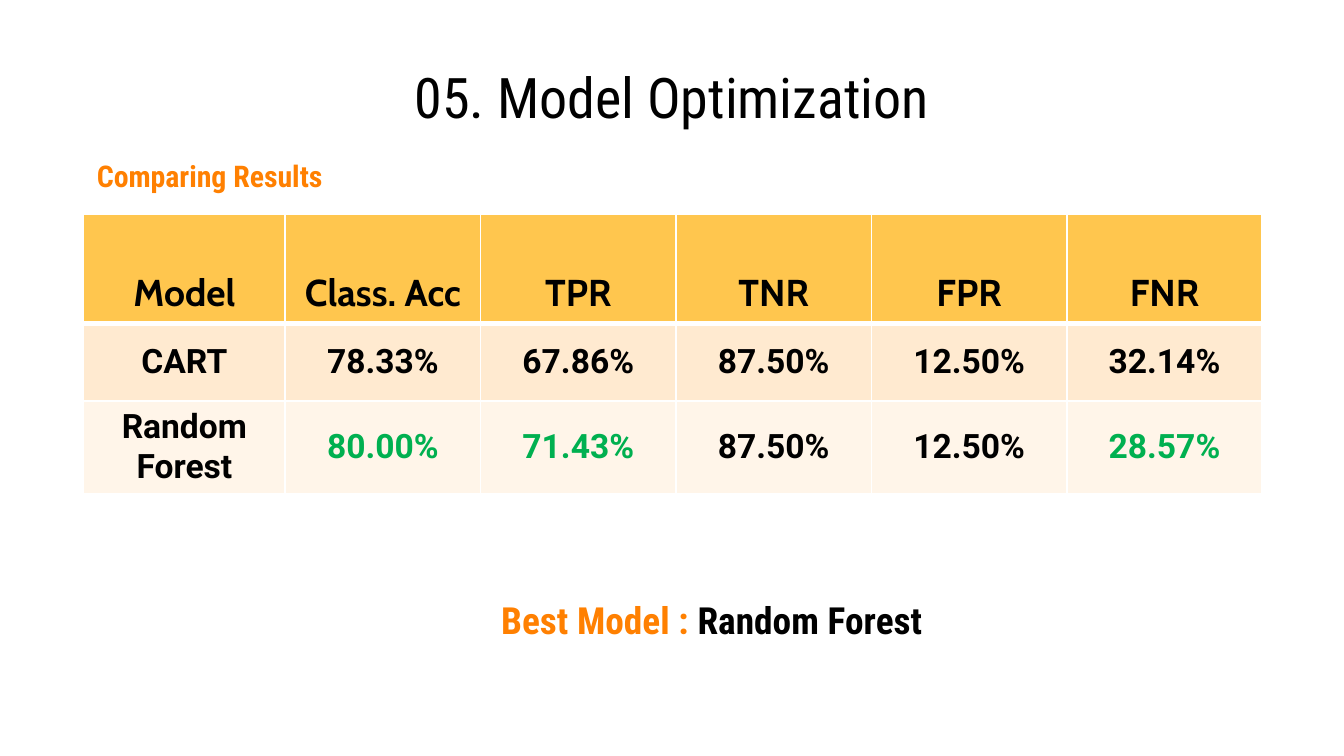
import dataclasses
import typing

import lxml.etree
import pptx
import pptx.dml.color
import pptx.enum.text
import pptx.oxml.ns
import pptx.util

Pt = pptx.util.Pt
Color = pptx.dml.color.RGBColor.from_string
Align = pptx.enum.text.PP_ALIGN
Anchor = pptx.enum.text.MSO_ANCHOR


@dataclasses.dataclass(frozen=True)
class Theme:
    black: str = "000000"
    white: str = "FFFFFF"
    orange: str = "FF8001"
    green: str = "00B050"
    header_fill: str = "FFC64E"
    row_fills: tuple[str, ...] = ("FFEAD0", "FFF5E9")
    heading_font: str = "Roboto Condensed"
    header_font: str = "Cabin"
    body_font: str = "Roboto"
    title_size: float = 30
    large_size: float = 20
    body_size: float = 18
    label_size: float = 16


class TextRun(typing.NamedTuple):
    text: str
    font: str
    size: float
    color: str
    bold: bool = True


class Box(typing.NamedTuple):
    left: float
    top: float
    width: float
    height: float


class ModelResult(typing.NamedTuple):
    model: str
    values: tuple[str, ...]
    improved: tuple[int, ...] = ()  # positions of the values shown in green


THEME = Theme()
HEADERS = ("Model", "Class. Acc", "TPR", "TNR", "FPR", "FNR")
RESULTS = (
    ModelResult("CART", ("78.33%", "67.86%", "87.50%", "12.50%", "32.14%")),
    ModelResult("Random Forest", ("80.00%", "71.43%", "87.50%", "12.50%", "28.57%"), (0, 1, 4)),
)
TABLE_BOX = Box(44.8, 114.8, 631.5, 149.5)
MODEL_WIDTH = 108
ROW_HEIGHTS = (58.3, 41.8, 44.6)
THIN_BORDER, HEADER_BORDER = 1, 3
INSET = Pt(7.2)


def set_attributes(target: typing.Any, values: dict[str, typing.Any]) -> None:
    for name, value in values.items():
        setattr(target, name, value)


def place(shape: typing.Any, box: Box) -> None:
    set_attributes(shape, {name: Pt(value) for name, value in box._asdict().items()})


def add_runs(paragraph: typing.Any, runs: typing.Iterable[TextRun]) -> None:
    for item in runs:
        run = paragraph.add_run()
        run.text = item.text
        set_attributes(run.font, {"name": item.font, "size": Pt(item.size), "bold": item.bold})
        run.font.color.rgb = Color(item.color)


def format_frame(frame: typing.Any, anchor: typing.Any) -> None:
    set_attributes(frame, {
        "word_wrap": True,
        "auto_size": pptx.enum.text.MSO_AUTO_SIZE.NONE,
        "vertical_anchor": anchor,
        "margin_left": INSET, "margin_right": INSET,
        "margin_top": INSET, "margin_bottom": INSET,
    })


def add_label(slide: typing.Any, box: Box, runs: typing.Iterable[TextRun]) -> None:
    shape = slide.shapes.add_textbox(*map(Pt, box))
    format_frame(shape.text_frame, Anchor.TOP)
    paragraph = shape.text_frame.paragraphs[0]
    set_attributes(paragraph, {"line_spacing": 1.15, "space_after": Pt(16)})
    add_runs(paragraph, runs)


def set_borders(cell: typing.Any, widths: dict[str, float]) -> None:
    properties = cell._tc.get_or_add_tcPr()
    qn = pptx.oxml.ns.qn
    for position, (side, width) in enumerate(widths.items()):
        line = lxml.etree.Element(qn(f"a:{side}"), w=str(Pt(width)))
        fill = lxml.etree.SubElement(line, qn("a:solidFill"))
        lxml.etree.SubElement(fill, qn("a:srgbClr"), val=THEME.white)
        properties.insert(position, line)


def fill_cell(cell: typing.Any, run: TextRun, fill: str, anchor: typing.Any, row: int) -> None:
    cell.fill.solid()
    cell.fill.fore_color.rgb = Color(fill)
    cell.vertical_anchor = anchor
    paragraph = cell.text_frame.paragraphs[0]
    paragraph.alignment = Align.CENTER
    add_runs(paragraph, [run])
    set_borders(cell, {
        "lnL": THIN_BORDER,
        "lnR": THIN_BORDER,
        "lnT": HEADER_BORDER if row == 1 else THIN_BORDER,
        "lnB": HEADER_BORDER if row == 0 else THIN_BORDER,
    })


def add_results_table(slide: typing.Any) -> None:
    shape = slide.shapes.add_table(len(RESULTS) + 1, len(HEADERS), *map(Pt, TABLE_BOX))
    table = shape.table
    value_width = (TABLE_BOX.width - MODEL_WIDTH) / (len(HEADERS) - 1)
    for index, column in enumerate(table.columns):
        column.width = Pt(value_width if index else MODEL_WIDTH)
    for row, height in zip(table.rows, ROW_HEIGHTS):
        row.height = Pt(height)

    # Header row
    for index, header in enumerate(HEADERS):
        run = TextRun(header, THEME.header_font, THEME.large_size, THEME.black)
        fill_cell(table.cell(0, index), run, THEME.header_fill, Anchor.BOTTOM, 0)

    # One row per model
    for row, (result, fill) in enumerate(zip(RESULTS, THEME.row_fills), start=1):
        for index, text in enumerate((result.model, *result.values)):
            color = THEME.green if index - 1 in result.improved else THEME.black
            run = TextRun(text, THEME.body_font, THEME.body_size, color)
            fill_cell(table.cell(row, index), run, fill, Anchor.MIDDLE, row)


def main() -> None:
    presentation = pptx.Presentation()
    set_attributes(presentation, {"slide_width": Pt(720), "slide_height": Pt(405)})
    slide = presentation.slides.add_slide(presentation.slide_layouts.get_by_name("Title Only"))

    # Title
    title = slide.shapes.title
    place(title, Box(36, 32.4, 648, 38.2))
    format_frame(title.text_frame, Anchor.MIDDLE)
    paragraph = title.text_frame.paragraphs[0]
    paragraph.alignment = Align.CENTER
    add_runs(paragraph, [TextRun("05. Model Optimization", THEME.heading_font,
                                 THEME.title_size, THEME.black, bold=False)])

    # Subtitle, results and conclusion
    add_label(slide, Box(44.8, 74.2, 216.7, 30.2), [
        TextRun("Comparing Results", THEME.heading_font, THEME.label_size, THEME.orange)])
    add_results_table(slide)
    add_label(slide, Box(261.4, 308.9, 264.2, 30.2), [
        TextRun("Best Model : ", THEME.heading_font, THEME.large_size, THEME.orange),
        TextRun("Random Forest", THEME.heading_font, THEME.large_size, THEME.black)])

    presentation.save("out.pptx")


if __name__ == "__main__":
    main()
